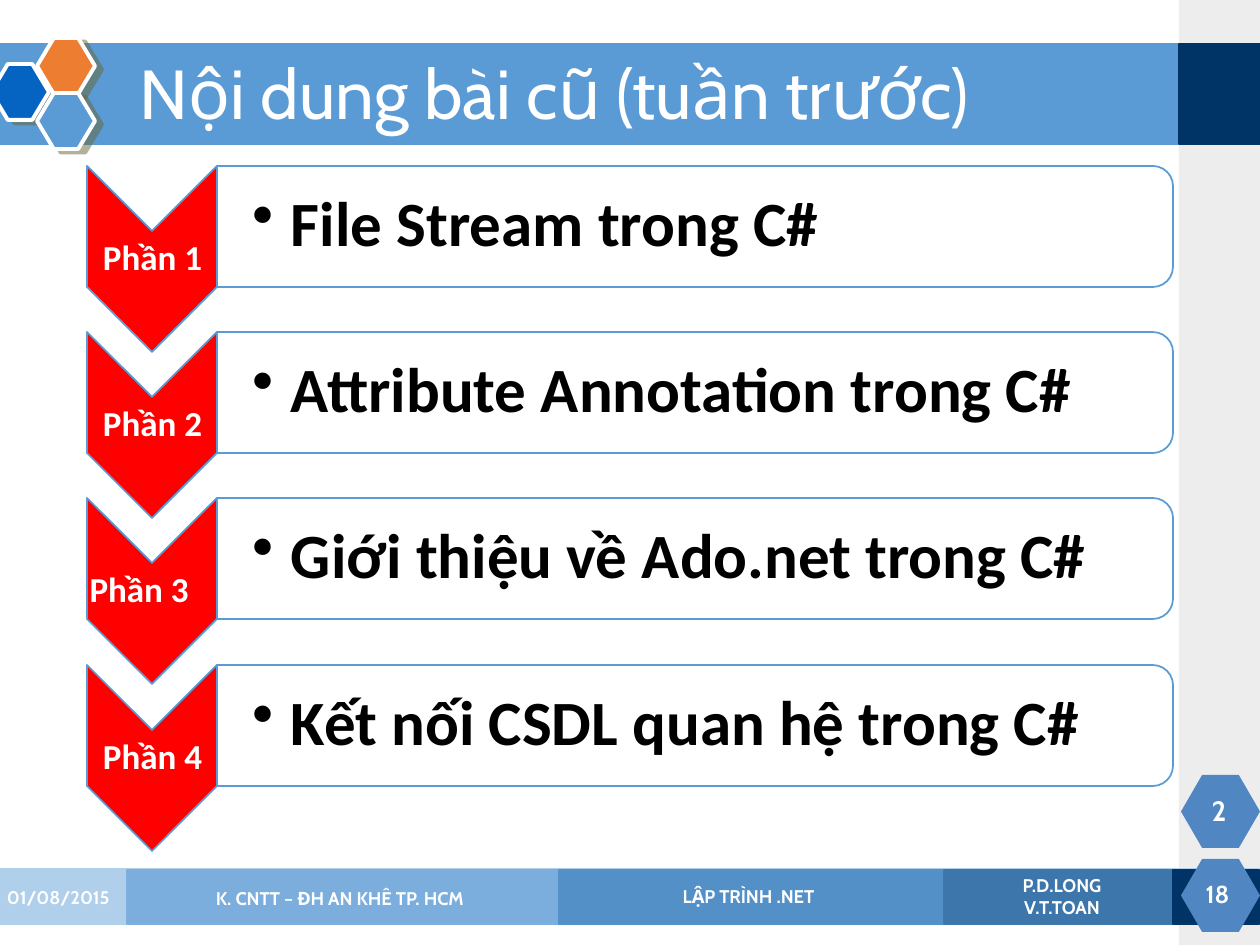
from typing import NamedTuple, Optional

from lxml.etree import SubElement
from pptx import Presentation
from pptx.dml.color import RGBColor
from pptx.enum.shapes import MSO_SHAPE
from pptx.enum.text import MSO_ANCHOR, PP_ALIGN
from pptx.oxml.ns import qn
from pptx.util import Emu, Pt

PX = 914400 / 126
COLORS = {
    "white": "FFFFFF", "black": "000000", "red": "FF0000", "gray": "A7A7A7",
    "blue": "5B9BD5", "navy": "003366", "royal": "0563C1", "orange": "ED7D31",
    "badge": "5086C2", "shade": "666633",
    "foot1": "7CAFDE", "foot1_edge": "B0CFEB", "foot2": "478FD1", "foot2_edge": "7CAFDE",
    "foot3": "2E74B4", "foot3_edge": "5591C9", "foot4": "255D8F", "foot4_edge": "3D77AC",
}


class Box(NamedTuple):
    left: int
    top: int
    width: int
    height: int


class Panel(NamedTuple):
    box: Box
    fill: str
    edge: Optional[str] = None
    opacity: int = 100


class Section(NamedTuple):
    label: str
    topic: str


class FooterText(NamedTuple):
    box: Box
    text: str
    align: PP_ALIGN = PP_ALIGN.CENTER
    size: float = 10.5
    anchor: MSO_ANCHOR = MSO_ANCHOR.MIDDLE


PANELS = [
    Panel(Box(1179, 0, 81, 946), "gray", opacity=20),
    Panel(Box(-2, 869, 1262, 55), "foot1", "foot1_edge", 60),
    Panel(Box(127, 870, 1130, 54), "foot2", "foot2_edge", 50),
    Panel(Box(559, 870, 701, 54), "foot3", "foot3_edge", 50),
    Panel(Box(944, 870, 315, 54), "foot4", "foot4_edge", 50),
    Panel(Box(-2, 44, 1181, 100), "blue", "blue"),
    Panel(Box(1179, 44, 81, 100), "navy", "navy"),
    Panel(Box(1173, 870, 86, 54), "navy", "navy"),
]
HONEYCOMB = [
    Panel(Box(-9, 64, 58, 56), "royal", "white"),
    Panel(Box(37, 38, 58, 56), "orange", "white"),
    Panel(Box(37, 93, 58, 56), "blue", "white"),
]
BADGES = [Panel(Box(1181, top, 79, 73), "badge") for top in (859, 775)]
SECTIONS = [
    Section("Phần 1", "File Stream trong C#"),
    Section("Phần 2", "Attribute Annotation trong C#"),
    Section("Phần 3\t", "Giới thiệu về Ado.net trong C#"),
    Section("Phần 4", "Kết nối CSDL quan hệ trong C#"),
]
FOOTER = [
    FooterText(Box(1189, 869, 57, 50), "18", size=14),
    FooterText(Box(951, 871, 222, 50), "P.D.LONG\nV.T.TOAN"),
    FooterText(Box(562, 879, 373, 35), "LẬP TRÌNH .NET", anchor=MSO_ANCHOR.TOP),
    FooterText(Box(-6, 872, 139, 50), "01/08/2015", PP_ALIGN.LEFT),
    FooterText(Box(127, 873, 426, 50), "K. CNTT – ĐH AN KHÊ TP. HCM"),
    FooterText(Box(1181, 785, 76, 50), "2", size=16),
]


def px(length: float) -> Emu:
    return Emu(round(length * PX))


def rgb(color: str) -> RGBColor:
    return RGBColor.from_string(COLORS[color])


def add_panel(slide, panel: Panel, kind=MSO_SHAPE.RECTANGLE, quarter_turn: bool = False,
              line_width: float = 1):
    """Draw a panel; with quarter_turn, box is the area covered after rotation."""
    left, top, width, height = panel.box
    if quarter_turn:
        left += (width - height) / 2
        top += (height - width) / 2
        width, height = height, width
    shape = slide.shapes.add_shape(kind, px(left), px(top), px(width), px(height))
    shape.rotation = 90 if quarter_turn else 0
    shape.shadow.inherit = False
    shape.fill.solid()
    shape.fill.fore_color.rgb = rgb(panel.fill)
    if panel.opacity < 100:
        color = shape.element.spPr.find(qn("a:solidFill"))[0]
        SubElement(color, qn("a:alpha"), val=str(panel.opacity * 1000))
    if panel.edge:
        shape.line.color.rgb = rgb(panel.edge)
        shape.line.width = Pt(line_width)
    else:
        shape.line.fill.background()
    return shape


def add_hexagon(slide, panel: Panel, slant: float, shadow: bool = False) -> None:
    hexagon = add_panel(slide, panel, MSO_SHAPE.HEXAGON, line_width=2.25)
    hexagon.adjustments[0] = slant
    if shadow:
        effects = hexagon.element.spPr.find(qn("a:effectLst"))
        outer = SubElement(effects, qn("a:outerShdw"), blurRad="0", dist=str(Pt(4.5)),
                           dir=str(27 * 60000), algn="ctr", rotWithShape="0")
        color = SubElement(outer, qn("a:srgbClr"), val=COLORS["shade"])
        SubElement(color, qn("a:alpha"), val="50000")


def add_text(slide, box: Box, text: str, *, size: float, font: str = "Cabin",
             color: str = "white", bold: bool = True, align=PP_ALIGN.CENTER,
             anchor=MSO_ANCHOR.MIDDLE, insets=(13, 6, 13, 6), spacing: float = 1,
             bullet_indent: int = 0) -> None:
    frame = slide.shapes.add_textbox(*map(px, box)).text_frame
    frame.word_wrap = True
    frame.vertical_anchor = anchor
    (frame.margin_left, frame.margin_top,
     frame.margin_right, frame.margin_bottom) = map(px, insets)
    frame.text = text
    for paragraph in frame.paragraphs:
        paragraph.alignment = align
        paragraph.line_spacing = spacing
        if bullet_indent:
            properties = paragraph._p.get_or_add_pPr()
            properties.set("marL", str(px(bullet_indent)))
            properties.set("indent", str(-px(bullet_indent)))
            SubElement(properties, qn("a:buChar"), char="•")
        for run in paragraph.runs:
            run.font.name = font
            run.font.size = Pt(size)
            run.font.bold = bold
            run.font.color.rgb = rgb(color)


def add_section(slide, section: Section, top: int) -> None:
    add_panel(slide, Panel(Box(87, top, 130, 186), "red", "blue"),
              MSO_SHAPE.CHEVRON, quarter_turn=True)
    add_text(slide, Box(87, top + 65, 131, 56), section.label, size=20, font="Calibri",
             insets=(1, 1, 1, 1), spacing=0.9)
    add_panel(slide, Panel(Box(217, top, 956, 121), "white", "blue", 90),
              MSO_SHAPE.ROUND_2_SAME_RECTANGLE, quarter_turn=True)
    add_text(slide, Box(217, top + 6, 950, 109), section.topic, size=36, font="Calibri",
             color="black", align=PP_ALIGN.LEFT, insets=(35, 4, 4, 4), spacing=0.9,
             bullet_indent=39)


def main() -> None:
    presentation = Presentation()
    presentation.slide_width, presentation.slide_height = px(1260), px(945)
    slide = presentation.slides.add_slide(presentation.slide_layouts[6])
    for panel in PANELS:
        add_panel(slide, panel)
    for cell in HONEYCOMB:
        add_hexagon(slide, cell, 0.3, shadow=True)
    for badge in BADGES:
        add_hexagon(slide, badge, 0.29)
    add_text(slide, Box(127, 50, 1046, 95), "Nội dung bài cũ (tuần trước)", size=39.6,
             bold=False, align=PP_ALIGN.LEFT, spacing=0.9)
    for index, section in enumerate(SECTIONS):
        add_section(slide, section, 166 + index * 499 // 3)
    for entry in FOOTER:
        add_text(slide, entry.box, entry.text, size=entry.size, align=entry.align,
                 anchor=entry.anchor)
    presentation.save("out.pptx")


if __name__ == "__main__":
    main()
